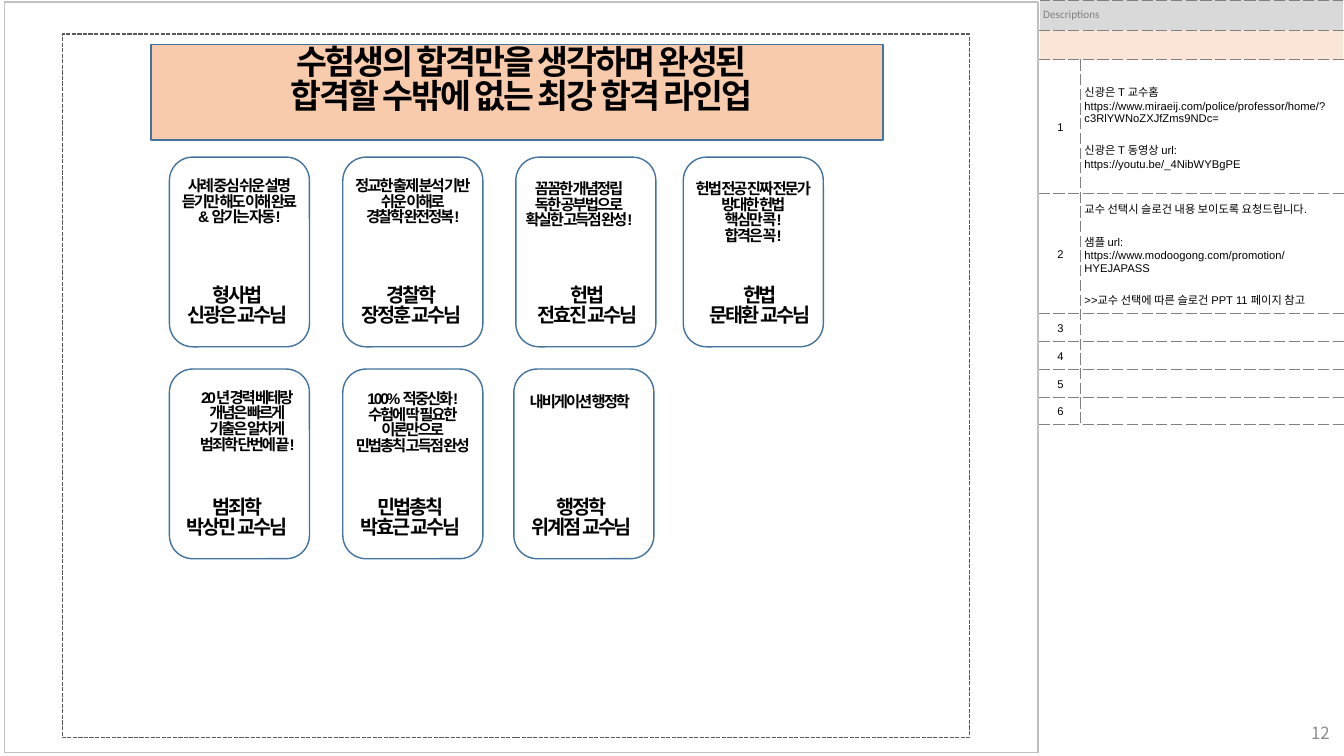
"""Builds the professor line-up storyboard slide with its description table."""
from dataclasses import dataclass

from lxml import etree
from pptx import Presentation
from pptx.dml.color import RGBColor
from pptx.enum.dml import MSO_LINE
from pptx.enum.shapes import MSO_SHAPE
from pptx.enum.text import MSO_ANCHOR, MSO_AUTO_SIZE, PP_ALIGN
from pptx.oxml.ns import qn
from pptx.util import Cm, Pt

RECTANGLE, ROUNDED = MSO_SHAPE.RECTANGLE, MSO_SHAPE.ROUNDED_RECTANGLE
LEFT, CENTER, RIGHT = PP_ALIGN.LEFT, PP_ALIGN.CENTER, PP_ALIGN.RIGHT
TOP, MIDDLE = MSO_ANCHOR.TOP, MSO_ANCHOR.MIDDLE
FIT_TEXT = MSO_AUTO_SIZE.SHAPE_TO_FIT_TEXT
DASH = MSO_LINE.SQUARE_DOT

HEADING = ["수험생의 합격만을 생각하며 완성된", "합격할 수밖에 없는 최강 합격 라인업"]
PAGE_NUMBER = "12"

# Each card: row, left, slogan, slogan shift, slogan drop, subject and name, name shift
CARDS = [
    (0, 4.27, ["사례 중심 쉬운 설명", "듣기만 해도 이해 완료", "& 암기는 자동!"],
     0, 0.43, ["형사법", "신광은 교수님"], -0.04),
    (0, 8.64, ["정교한 출제 분석 기반", "쉬운 이해로", "경찰학 완전정복!"],
     0, 0.43, ["경찰학", "장정훈 교수님"], -0.04),
    (0, 13.0, ["꼼꼼한 개념정립", "독한 공부법으로", "확실한 고득점 완성!"],
     -0.17, 0.51, ["헌법", "전효진 교수님"], 0.04),
    (0, 17.22, ["헌법 전공 진짜 전문가", "방대한 헌법", "핵심만 콕!", "합격은 꼭!"],
     0, 0.51, ["헌법", "문태환 교수님"], 0.17),
    (1, 4.27, ["20년 경력 베테랑", "개념은 빠르게", "기출은 알차게", "범죄학 단번에 끝!"],
     0.2, 0.43, ["범죄학", "박상민 교수님"], -0.06),
    (1, 8.64, ["100% 적중신화!", "수험에 딱 필요한", "이론만으로", "민법총칙 고득점 완성"],
     0, 0.46, ["민법총칙", "박효근 교수님"], -0.06),
    (1, 12.95, ["내비게이션 행정학"],
     -0.1, 0.53, ["행정학", "위계점 교수님"], -0.05),
]

TABLE_TITLE = "Descriptions"
DESCRIPTIONS = [
    [["신광은 T 교수홈",
      "https://www.miraeij.com/police/professor/home/?c3RlYWNoZXJfZms9NDc="],
     ["신광은 T 동영상 url:", "https://youtu.be/_4NibWYBgPE"]],
    [["교수 선택시 슬로건 내용 보이도록 요청드립니다."],
     ["샘플 url:", "https://www.modoogong.com/promotion/HYEJAPASS"],
     [">>교수 선택에 따른 슬로건 PPT 11 페이지 참고"]],
    [], [], [], [],
]
ROW_HEIGHTS = [0.75, 0.75, 3.36, 3.04, 0.7, 0.7, 0.7, 0.7]
COLUMN_WIDTHS = [1.04, 6.63]
DESCRIPTION_TOPS = [0.61, 0.2]

CARD_WIDTH, CARD_HEIGHT = 3.53, 4.78
CARD_TOP, CARD_PITCH = 3.96, 5.34
NAME_DROP = 3.15


@dataclass(frozen=True)
class Theme:
    """Colours, fonts and type sizes of the slide."""
    ink: str = "000000"
    frame: str = "C0C0C0"
    outline: str = "43739E"
    banner: str = "F8CBAD"
    area: str = "595959"
    number: str = "8C8C8C"
    rule: str = "808080"
    table_head: str = "DAD9DA"
    table_sub: str = "FBE5D6"
    latin: str = "Arial"
    label: str = "Calibri"
    korean: str = "Noto Sans CJK KR"
    heading_size: int = 24
    name_size: int = 14
    number_size: int = 12
    slogan_size: int = 11
    table_size: int = 8


THEME = Theme()


def write_text(frame, blocks, *, size, font=THEME.latin, color=THEME.ink,
               bold=False, align=LEFT, spacing=0, leading=None):
    """Write blocks of lines, with a gap before each block after the first."""
    lines = [(text, block > 0 and index == 0)
             for block, block_lines in enumerate(blocks)
             for index, text in enumerate(block_lines)]
    for index, (text, gap) in enumerate(lines):
        para = frame.add_paragraph() if index else frame.paragraphs[0]
        para.alignment = align
        if gap:
            para.space_before = Pt(11.6)
        if leading:
            para.line_spacing = leading
        span = para.add_run()
        span.text = text
        span.font.size = Pt(size)
        span.font.bold = bold
        span.font.name = font
        span.font.color.rgb = RGBColor.from_string(color)
        properties = span._r.get_or_add_rPr()
        if spacing:
            properties.set("spc", str(int(spacing * 100)))
        etree.SubElement(properties, qn("a:ea"), typeface=THEME.korean)


def add_box(page, kind, left, top, width, height, *, line, fill=None, dash=None):
    """Add an outlined preset shape."""
    box = page.shapes.add_shape(kind, Cm(left), Cm(top), Cm(width), Cm(height))
    box.shadow.inherit = False
    box.line.color.rgb = RGBColor.from_string(line)
    box.line.width = Pt(1)
    if dash:
        box.line.dash_style = dash
    if fill:
        box.fill.solid()
        box.fill.fore_color.rgb = RGBColor.from_string(fill)
    else:
        box.fill.background()


def add_tight_text(page, lines, center, top, *, size, font):
    """Add bold centred lines around a vertical axis."""
    width, height = 3.5, 0.51 + len(lines) * size * 0.043
    box = page.shapes.add_textbox(Cm(center - width / 2), Cm(top), Cm(width), Cm(height))
    box.text_frame.word_wrap = False
    box.text_frame.auto_size = FIT_TEXT
    write_text(box.text_frame, [lines], size=size, font=font, bold=True,
               align=CENTER, spacing=-1.5, leading=0.84)


def format_cell(cell, blocks, margins, *, fill=None, sides=("T", "B"), anchor=MIDDLE, **style):
    """Fill one table cell and rule its sides."""
    cell.margin_left, cell.margin_top, cell.margin_right, cell.margin_bottom = map(Cm, margins)
    cell.vertical_anchor = anchor
    if fill:
        cell.fill.solid()
        cell.fill.fore_color.rgb = RGBColor.from_string(fill)
    else:
        cell.fill.background()
    properties = cell._tc.get_or_add_tcPr()
    for index, side in enumerate(sides):
        border = etree.Element(qn(f"a:ln{side}"), w=str(Pt(0.25)))
        paint = etree.SubElement(border, qn("a:solidFill"))
        etree.SubElement(paint, qn("a:srgbClr"), val=THEME.rule)
        etree.SubElement(border, qn("a:prstDash"), val="sysDash")
        properties.insert(index, border)
    if blocks:
        write_text(cell.text_frame, blocks, size=THEME.table_size, **style)
    else:
        etree.SubElement(cell.text_frame.paragraphs[0]._p, qn("a:endParaRPr"),
                         sz=str(THEME.table_size * 100))


def add_descriptions(page):
    """Add the numbered description table."""
    table = page.shapes.add_table(len(ROW_HEIGHTS), len(COLUMN_WIDTHS), Cm(26.19), Cm(0),
                                  Cm(sum(COLUMN_WIDTHS)), Cm(sum(ROW_HEIGHTS))).table
    table.first_row = table.horz_banding = False
    for column, width in zip(table.columns, COLUMN_WIDTHS):
        column.width = Cm(width)
    for row, height in zip(table.rows, ROW_HEIGHTS):
        row.height = Cm(height)
    heads = [([[TABLE_TITLE]], THEME.table_head), ([], THEME.table_sub)]
    for row, (blocks, fill) in enumerate(heads):
        table.cell(row, 0).merge(table.cell(row, 1))
        for column, content in enumerate((blocks, [])):
            format_cell(table.cell(row, column), content, (0.1, 0.1, 0, 0.1), fill=fill,
                        font=THEME.label, color=THEME.rule)
    for index, blocks in enumerate(DESCRIPTIONS):
        row = index + len(heads)
        top = DESCRIPTION_TOPS[index] if blocks else 0.1
        format_cell(table.cell(row, 0), [[str(index + 1)]], (0.03, 0.1, 0, 0.03),
                    sides=("R", "T", "B"), align=CENTER)
        format_cell(table.cell(row, 1), blocks, (0.1, top, 0.2, 0.1),
                    sides=("L", "T", "B"), anchor=TOP)


def main():
    """Assemble and save the slide."""
    deck = Presentation()
    deck.slide_width, deck.slide_height = Cm(33.87), Cm(19.05)
    page = deck.slides.add_slide(deck.slide_layouts[5])

    add_box(page, RECTANGLE, 0.12, 0.05, 26.04, 18.92, line=THEME.frame)
    add_box(page, RECTANGLE, 3.81, 1.12, 18.44, 2.41, line=THEME.outline, fill=THEME.banner)
    add_box(page, RECTANGLE, 1.57, 0.86, 22.86, 17.73, line=THEME.area, dash=DASH)

    title = page.shapes.title
    title.left, title.top, title.width, title.height = map(Cm, (6.25, 1.07, 13.79, 2.31))
    title.text_frame.word_wrap = False
    title.text_frame.auto_size = FIT_TEXT
    title.text_frame.vertical_anchor = TOP
    write_text(title.text_frame, [HEADING], size=THEME.heading_size, bold=True,
               align=CENTER, spacing=-1.5, leading=0.84)
    page.shapes._spTree.append(title._element)

    number = page.shapes.add_textbox(Cm(26.14), Cm(17.96), Cm(7.62), Cm(1.02))
    number.text_frame.word_wrap = True
    number.text_frame.vertical_anchor = MIDDLE
    write_text(number.text_frame, [[PAGE_NUMBER]], size=THEME.number_size,
               font=THEME.korean, color=THEME.number, align=RIGHT)

    add_descriptions(page)
    for row, left, slogan, slogan_shift, slogan_drop, name, name_shift in CARDS:
        top = CARD_TOP + row * CARD_PITCH
        center = left + CARD_WIDTH / 2
        add_box(page, ROUNDED, left, top, CARD_WIDTH, CARD_HEIGHT, line=THEME.outline)
        add_tight_text(page, slogan, center + slogan_shift, top + slogan_drop,
                       size=THEME.slogan_size, font=THEME.latin)
        add_tight_text(page, name, center + name_shift, top + NAME_DROP,
                       size=THEME.name_size, font=THEME.korean)
    deck.save("out.pptx")


if __name__ == "__main__":
    main()
